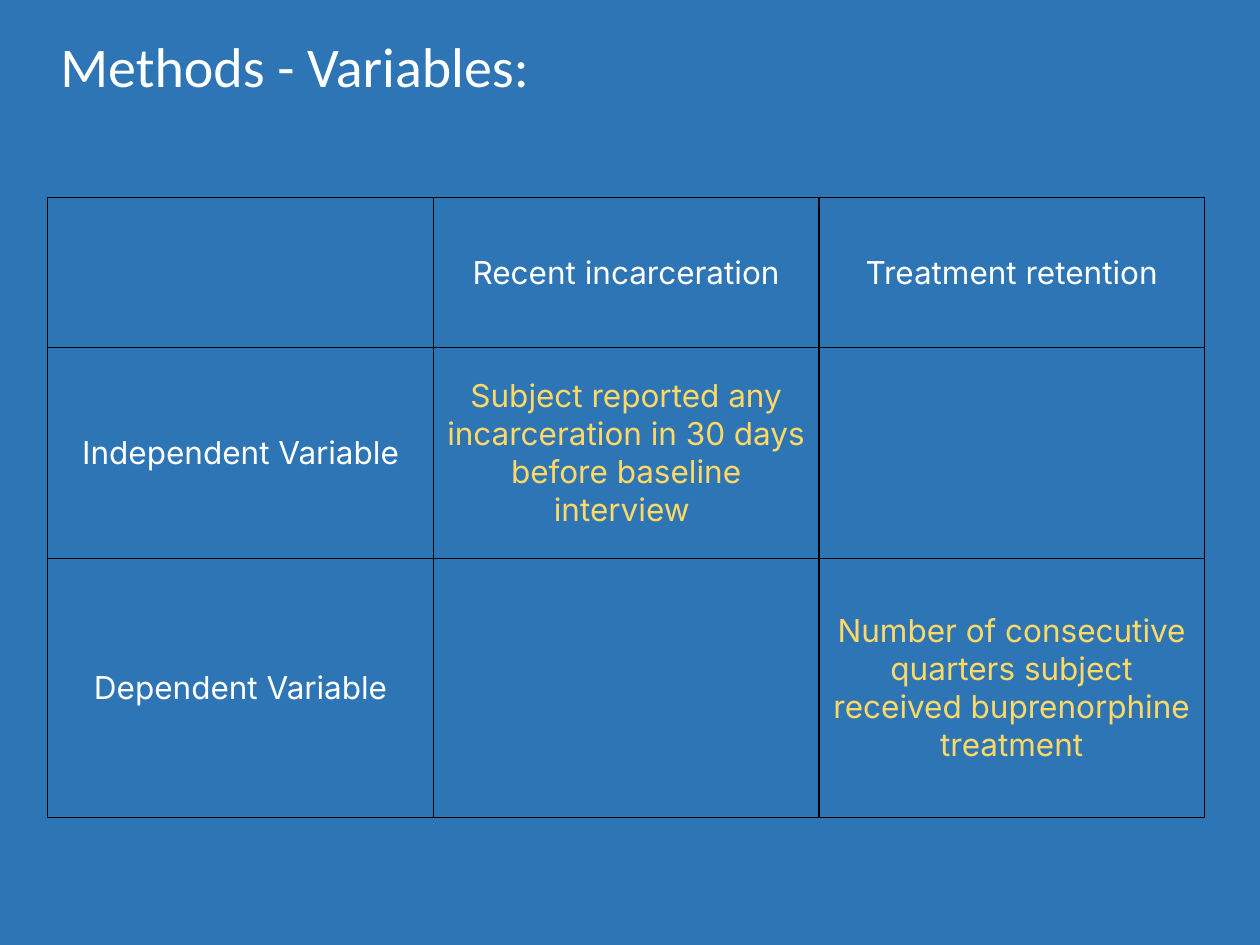
import pptx
import pptx.dml.color
import pptx.enum.text
import pptx.oxml
import pptx.oxml.ns
import pptx.util
from pptx.util import Inches

BLUE, WHITE, YELLOW, BLACK = "2E75B6", "FFFFFF", "FFD966", "000000"

ROWS = [
    ["", "Recent incarceration", "Treatment retention"],
    [
        "Independent Variable",
        "Subject reported any incarceration in 30 days before baseline interview ",
        "",
    ],
    [
        "Dependent Variable",
        "",
        "Number of consecutive quarters subject received buprenorphine treatment",
    ],
]
COLUMN_WIDTH = 3.06
ROW_HEIGHTS = [1.19, 1.67, 2.06]


def color(hex_string):
    return pptx.dml.color.RGBColor.from_string(hex_string)


class SlideBuilder:
    title_font = {"name": "Calibri", "size": pptx.util.Pt(32)}
    table_font = {"name": "Inter", "size": pptx.util.Pt(18)}
    border_width = pptx.util.Pt(0.75)

    def __init__(self, presentation, background):
        self.slide = presentation.slides.add_slide(presentation.slide_layouts[6])
        fill = self.slide.background.fill
        fill.solid()
        fill.fore_color.rgb = color(background)

    def add_text(self, paragraph, text, font_format, text_color):
        run = paragraph.add_run()
        run.text = text
        for name, value in font_format.items():
            setattr(run.font, name, value)
        run.font.color.rgb = color(text_color)

    def title(self, text, left, top, width, height):
        shape = self.slide.shapes.add_textbox(
            Inches(left), Inches(top), Inches(width), Inches(height)
        )
        shape.text_frame.word_wrap = True
        shape.text_frame.auto_size = pptx.enum.text.MSO_AUTO_SIZE.SHAPE_TO_FIT_TEXT
        self.add_text(shape.text_frame.paragraphs[0], text, self.title_font, WHITE)

    def border(self, cell):
        properties = cell._tc.get_or_add_tcPr()
        for position, side in enumerate(("lnL", "lnR", "lnT", "lnB")):
            line = pptx.oxml.parse_xml(
                f'<a:{side} {pptx.oxml.ns.nsdecls("a")} w="{self.border_width}">'
                f'<a:solidFill><a:srgbClr val="{BLACK}"/></a:solidFill></a:{side}>'
            )
            properties.insert(position, line)

    def table(self, rows, left, top, column_width, row_heights):
        column_count = len(rows[0])
        table = self.slide.shapes.add_table(
            len(rows), column_count, Inches(left), Inches(top),
            Inches(column_width * column_count), Inches(sum(row_heights)),
        ).table
        for column in table.columns:
            column.width = Inches(column_width)
        for row, height in zip(table.rows, row_heights):
            row.height = Inches(height)
        for row_index, texts in enumerate(rows):
            for column_index, text in enumerate(texts):
                cell = table.cell(row_index, column_index)
                cell.fill.background()
                self.border(cell)
                cell.vertical_anchor = pptx.enum.text.MSO_ANCHOR.MIDDLE
                if text:
                    is_heading = row_index == 0 or column_index == 0
                    paragraph = cell.text_frame.paragraphs[0]
                    paragraph.alignment = pptx.enum.text.PP_ALIGN.CENTER
                    self.add_text(paragraph, text, self.table_font,
                                  WHITE if is_heading else YELLOW)


def main():
    presentation = pptx.Presentation()
    presentation.slide_width = Inches(10)
    presentation.slide_height = Inches(7.5)
    builder = SlideBuilder(presentation, BLUE)
    builder.title("Methods - Variables:", 0.38, 0.2, 9.62, 0.64)
    builder.table(ROWS, 0.38, 1.57, COLUMN_WIDTH, ROW_HEIGHTS)
    presentation.save("out.pptx")


if __name__ == "__main__":
    main()
